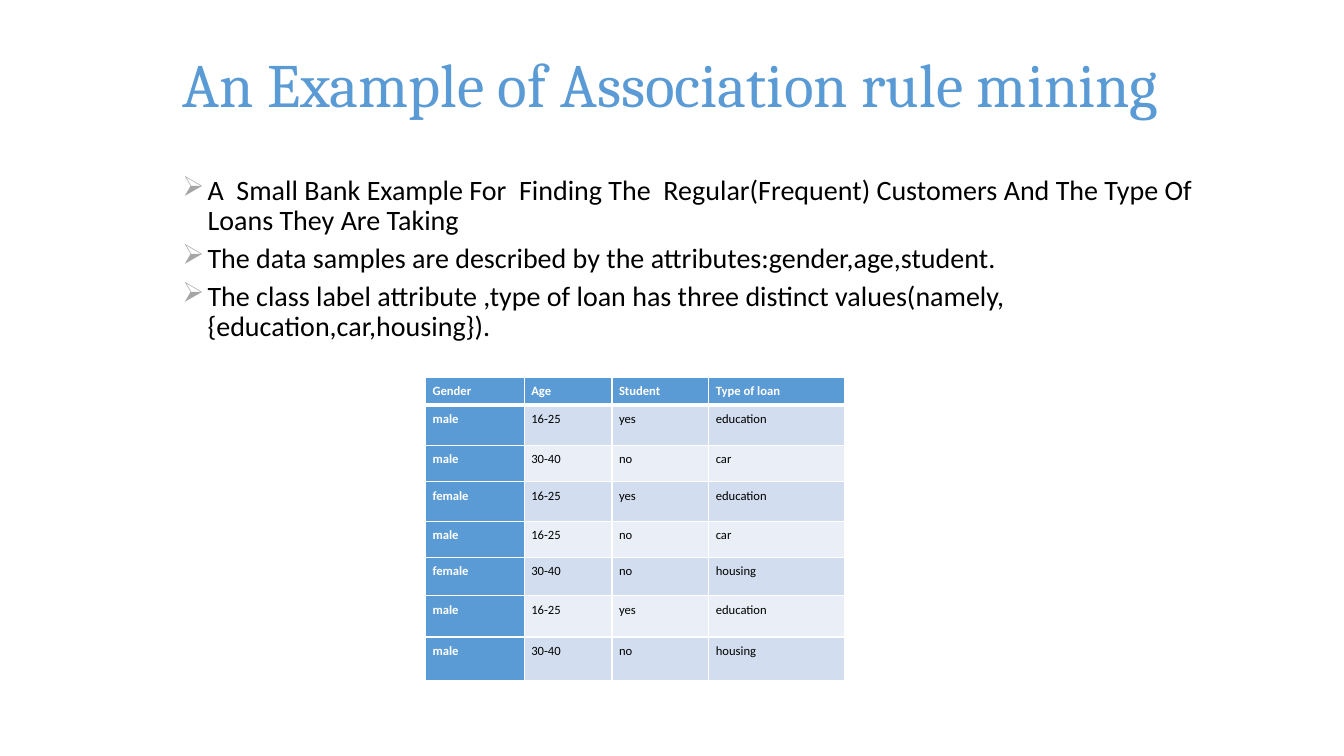
from lxml import etree
from pptx import Presentation
from pptx import util as u
from pptx.dml.color import RGBColor
from pptx.enum import text
from pptx.oxml.ns import qn

BLUE = RGBColor(0x5B, 0x9B, 0xD5)
BAND_DARK = RGBColor(0xD2, 0xDE, 0xEF)
BAND_LIGHT = RGBColor(0xEA, 0xEF, 0xF7)
GREY = RGBColor(0xA5, 0xA5, 0xA5)
WHITE = RGBColor(0xFF, 0xFF, 0xFF)
BLACK = RGBColor(0, 0, 0)

TITLE = "An Example of Association rule mining"
POINTS = [
    "A  Small Bank Example For  Finding The  Regular(Frequent) Customers And The Type Of  Loans They Are Taking",
    "The data samples are described by the attributes:gender,age,student.",
    "The class label attribute ,type of loan has three distinct values(namely,{education,car,housing}).",
]
LOANS = [
    ("Gender", "Age", "Student", "Type of loan"),
    ("male", "16-25", "yes", "education"),
    ("male", "30-40", "no", "car"),
    ("female", "16-25", "yes", "education"),
    ("male", "16-25", "no", "car"),
    ("female", "30-40", "no", "housing"),
    ("male", "16-25", "yes", "education"),
    ("male", "30-40", "no", "housing"),
]
COLUMNS = [0.98, 0.87, 0.96, 1.35]
ROWS = [0.28, 0.4, 0.36, 0.39, 0.36, 0.38, 0.41, 0.43]
LEFT, WIDTH = 1.71, 10.71


def write(tf, lines, size, color, font="Calibri", bold=False, spacing=1.0, before=0, bullet=None):
    for i, line in enumerate(lines):
        p = tf.paragraphs[0] if i == 0 else tf.add_paragraph()
        p.line_spacing = spacing
        p.space_before = u.Pt(before)
        r = p.add_run()
        r.text = line
        r.font.size, r.font.name, r.font.bold = u.Pt(size), font, bold
        r.font.color.rgb = color
        if bullet:
            add_bullet(p, bullet)


def add_bullet(p, char):
    pPr = p._p.get_or_add_pPr()
    pPr.set("marL", str(u.Inches(0.25)))
    pPr.set("indent", str(-u.Inches(0.25)))
    color = etree.SubElement(pPr, qn("a:buClr"))
    etree.SubElement(color, qn("a:srgbClr"), val=str(GREY))
    etree.SubElement(pPr, qn("a:buChar"), char=char)


def add_text(s, top, height, lines, anchor=text.MSO_ANCHOR.TOP, **style):
    box = s.shapes.add_textbox(u.Inches(LEFT), u.Inches(top), u.Inches(WIDTH), u.Inches(height))
    tf = box.text_frame
    tf.word_wrap = True
    tf.vertical_anchor = anchor
    write(tf, lines, **style)


def add_borders(cell, **widths):
    """Draw white cell borders, with widths in points keyed by L, R, T and B."""
    tcPr = cell._tc.get_or_add_tcPr()
    for i, (side, width) in enumerate(widths.items()):
        ln = etree.Element(qn(f"a:ln{side}"), w=str(u.Pt(width)))
        fill = etree.SubElement(ln, qn("a:solidFill"))
        etree.SubElement(fill, qn("a:srgbClr"), val=str(WHITE))
        tcPr.insert(i, ln)


def add_loan_table(s, left, top):
    frame = s.shapes.add_table(len(ROWS), len(COLUMNS), u.Inches(left), u.Inches(top),
                               u.Inches(sum(COLUMNS)), u.Inches(sum(ROWS)))
    table = frame.table
    for column, width in zip(table.columns, COLUMNS):
        column.width = u.Inches(width)
    for row, height in zip(table.rows, ROWS):
        row.height = u.Inches(height)
    for i, record in enumerate(LOANS):
        for j, value in enumerate(record):
            cell = table.cell(i, j)
            heading = i == 0 or j == 0
            band = BAND_DARK if i % 2 else BAND_LIGHT
            cell.fill.solid()
            cell.fill.fore_color.rgb = BLUE if heading else band
            cell.margin_left = cell.margin_right = u.Inches(0.07)
            cell.margin_top = cell.margin_bottom = 0
            write(cell.text_frame, [value], size=9, color=WHITE if heading else BLACK,
                  bold=heading, spacing=1.42)
            add_borders(cell, L=1, R=1, T=3 if i == 1 else 1, B=3 if i == 0 else 1)


def main():
    prs = Presentation()
    prs.slide_width, prs.slide_height = u.Inches(13.33), u.Inches(7.5)
    s = prs.slides.add_slide(prs.slide_layouts[6])
    add_text(s, 1.7, 5.05, POINTS, size=20, color=BLACK, spacing=0.9, before=5.4, bullet="➢")
    add_text(s, 0.4, 0.85, [TITLE], anchor=text.MSO_ANCHOR.MIDDLE, size=44, color=BLUE, font="Cambria")
    add_loan_table(s, 4.22, 3.74)
    prs.save("out.pptx")


if __name__ == "__main__":
    main()
